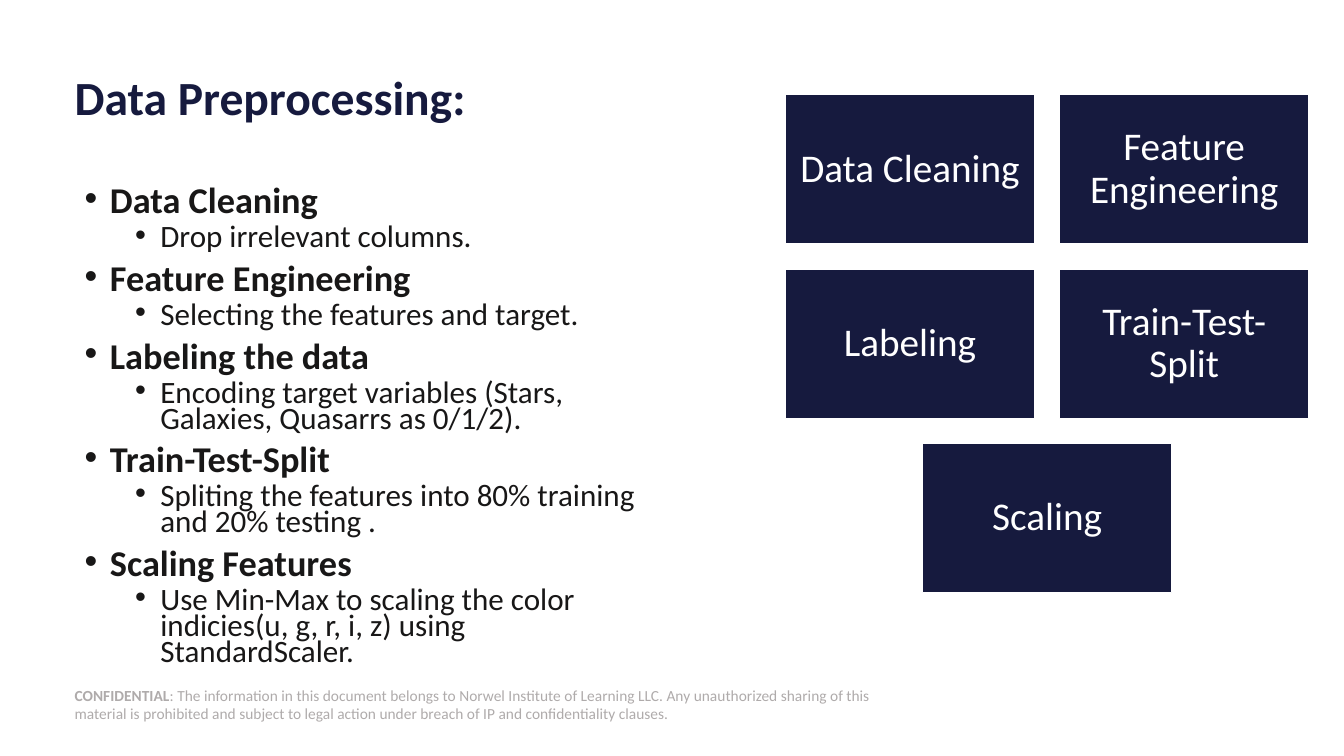
from lxml import etree
from pptx import Presentation
from pptx.dml.color import RGBColor
from pptx.enum.shapes import MSO_SHAPE
from pptx.enum.text import MSO_ANCHOR, MSO_AUTO_SIZE, PP_ALIGN
from pptx.oxml.ns import qn
from pptx.util import Inches, Pt

RECT = MSO_SHAPE.RECTANGLE
LEFT, CENTER = PP_ALIGN.LEFT, PP_ALIGN.CENTER
TOP, MIDDLE = MSO_ANCHOR.TOP, MSO_ANCHOR.MIDDLE
NO_FIT = MSO_AUTO_SIZE.NONE


def rgb(value):
    return RGBColor.from_string(value)


class SlideBuilder:
    FONT = "Calibri"
    NAVY, INK, GREY, WHITE = "161A3E", "181717", "AFABAB", "FFFFFF"

    def __init__(self, slide):
        self.slide = slide

    def place(self, sp, left, top, width, height):
        sp.left, sp.top = Inches(left), Inches(top)
        sp.width, sp.height = Inches(width), Inches(height)

    def frame(self, sp, anchor, inset_x, inset_y):
        tf = sp.text_frame
        tf.word_wrap, tf.auto_size, tf.vertical_anchor = True, NO_FIT, anchor
        tf.margin_left = tf.margin_right = Inches(inset_x)
        tf.margin_top = tf.margin_bottom = Inches(inset_y)
        return tf

    def style(self, p, size, color, bold=False, align=LEFT, spacing=1.0):
        p.alignment, p.line_spacing = align, spacing
        for r in p.runs:
            r.font.name, r.font.size, r.font.bold = self.FONT, Pt(size), bold
            r.font.color.rgb = rgb(color)

    def title(self, text, *box):
        sp = self.slide.shapes.title
        self.place(sp, *box)
        tf = self.frame(sp, MIDDLE, 0, 0)
        tf.text = text
        self.style(tf.paragraphs[0], 34, self.NAVY, True, spacing=0.9)

    def bullet(self, p, text, level):
        p.text, p.level = text, level
        size, before = ((25.9, 10), (22.2, 5))[level]
        self.style(p, size, self.INK, level == 0, spacing=0.7)
        p.space_before = Pt(before)
        pPr = p._p.get_or_add_pPr()
        pPr.set("marL", str(Inches(0.25 + 0.5 * level)))
        pPr.set("indent", str(Inches(-0.25)))
        etree.SubElement(pPr, qn("a:buFont")).set("typeface", "Arial")
        etree.SubElement(pPr, qn("a:buChar")).set("char", "•")

    def body(self, items, *box):
        sp = self.slide.placeholders[1]
        self.place(sp, *box)
        tf = self.frame(sp, TOP, 0.1, 0.05)
        lines = [(text, level) for pair in items for level, text in enumerate(pair)]
        for i, (text, level) in enumerate(lines):
            p = tf.add_paragraph() if i else tf.paragraphs[0]
            self.bullet(p, text, level)

    def rect(self, fill, left, top, width, height):
        sp = self.slide.shapes.add_shape(
            RECT, Inches(left), Inches(top), Inches(width), Inches(height))
        sp.shadow.inherit = False
        sp.fill.solid()
        sp.fill.fore_color.rgb = rgb(fill)
        return sp

    def step(self, text, *box):
        sp = self.rect(self.NAVY, *box)
        sp.line.color.rgb = rgb(self.WHITE)
        sp.line.width = Pt(1)
        tf = self.frame(sp, MIDDLE, 0.12, 0.12)
        tf.text = text
        self.style(tf.paragraphs[0], 28, self.WHITE, align=CENTER, spacing=0.9)

    def footer(self, label, text, *box):
        sp = self.rect(self.WHITE, *box)
        sp.line.fill.background()
        tf = self.frame(sp, MIDDLE, 0, 0)
        tf.text = label
        p = tf.paragraphs[0]
        p.add_run().text = text
        self.style(p, 11, self.GREY)
        p.runs[0].font.bold = True


def main():
    prs = Presentation()
    prs.slide_width, prs.slide_height = Inches(13.33), Inches(7.5)
    s = SlideBuilder(prs.slides.add_slide(prs.slide_layouts[1]))

    # Confidentiality note
    s.footer("CONFIDENTIAL",
             ": The information in this document belongs to Norwel Institute of "
             "Learning LLC. Any unauthorized sharing of this material is prohibited "
             "and subject to legal action under breach of IP and confidentiality "
             "clauses.", 0.74, 6.79, 8.17, 0.4)

    # Title and list
    s.title("Data Preprocessing:", 0.74, 0.66, 11.85, 0.67)
    s.body([
        ("Data Cleaning", "Drop irrelevant columns."),
        ("Feature Engineering", "Selecting the features and target."),
        ("Labeling the data",
         "Encoding target variables (Stars, Galaxies, Quasarrs as 0/1/2)."),
        ("Train-Test-Split",
         "Spliting the features into 80% training and 20% testing ."),
        ("Scaling Features",
         "Use Min-Max to scaling the color indicies(u, g, r, i, z) using "
         "StandardScaler."),
    ], 0.74, 1.83, 5.92, 4.81)

    # Step blocks: rows of two, each row centred
    rows = [("Data Cleaning", "Feature Engineering"),
            ("Labeling", "Train-Test-Split"),
            ("Scaling",)]
    width, height, gap = 2.47, 1.48, 0.25
    center, top = 10.385, 0.94
    for i, row in enumerate(rows):
        left = center - (len(row) * (width + gap) - gap) / 2
        for j, text in enumerate(row):
            s.step(text, left + j * (width + gap), top + i * (height + gap),
                   width, height)

    prs.save("out.pptx")


if __name__ == "__main__":
    main()
